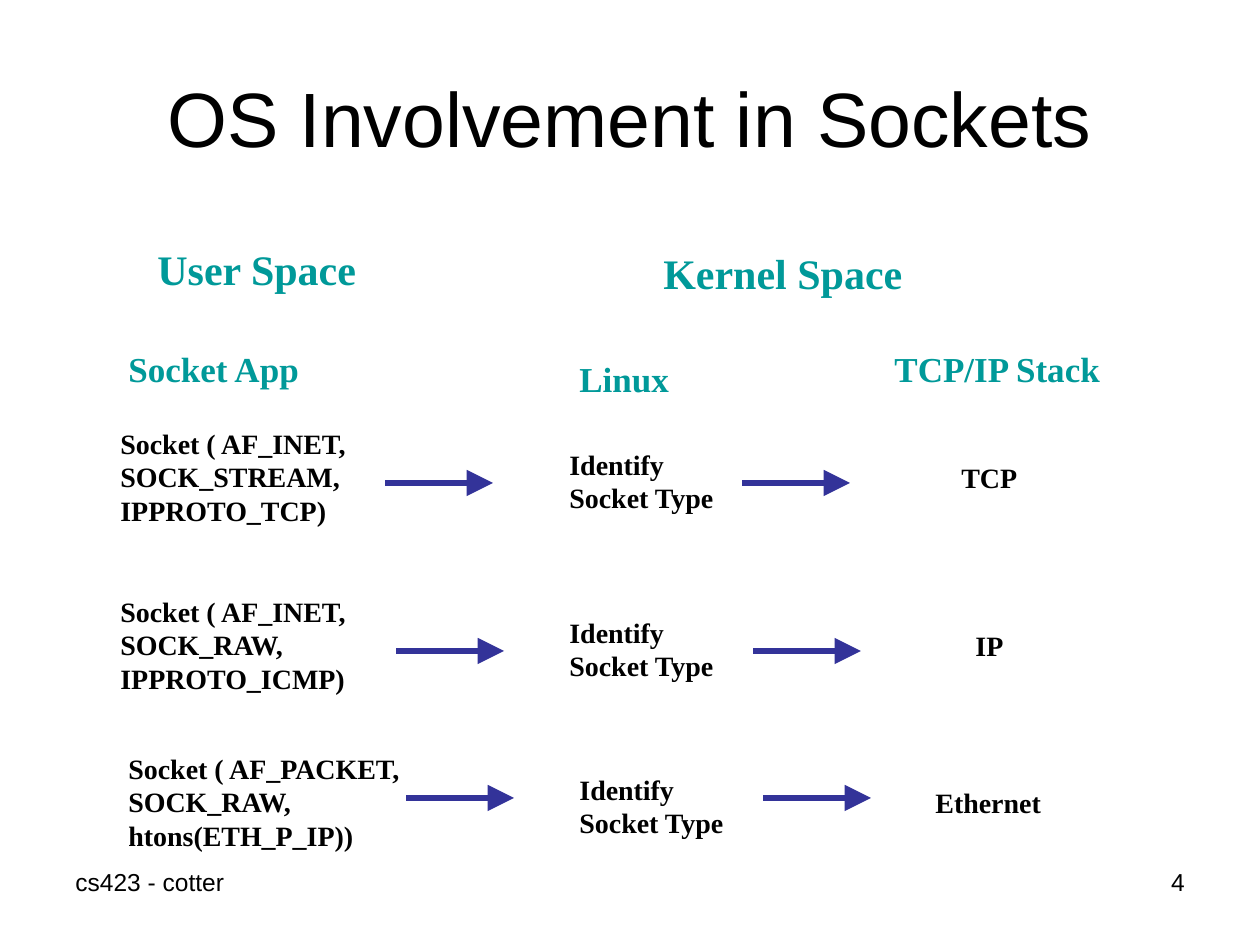
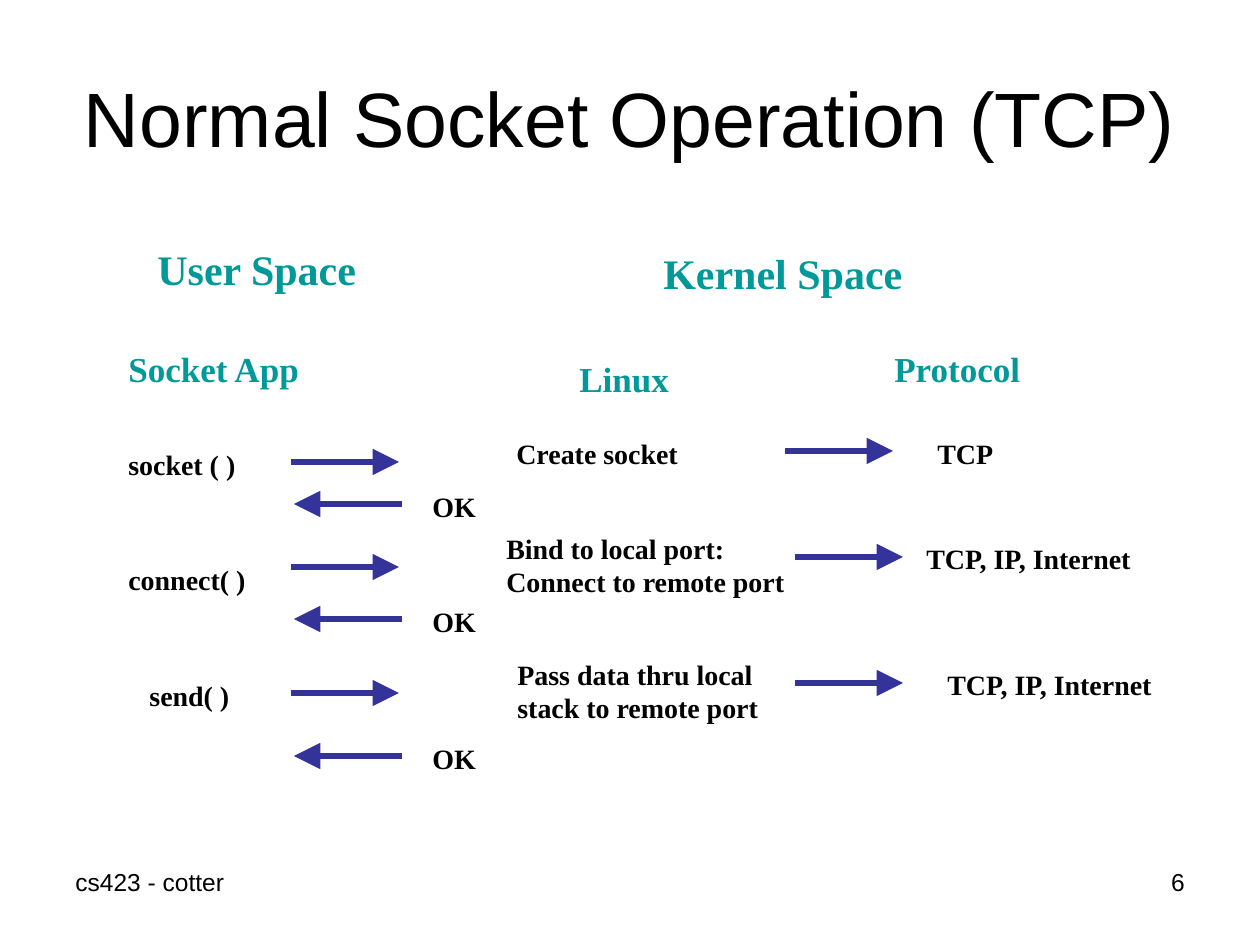
import pptx
import pptx.util
import pptx.dml.color
import pptx.enum.shapes
import pptx.enum.text
import pptx.oxml
import pptx.oxml.ns

SCALE = 914400 / 126  # EMU in one px
COLOR = {"text": "000000", "head": "009999", "arrow": "333399"}
SANS, SERIF = "Arial", "Times New Roman"
ALIGN = pptx.enum.text.PP_ALIGN
ANCHOR = pptx.enum.text.MSO_ANCHOR


def px(n):
    return pptx.util.Emu(round(n * SCALE))


def write(slide, text, x, y, wide, high=None, size=16, font=SERIF,
          color="text", align=ALIGN.LEFT, wrap=False):
    """Add a text box; serif text is bold, and the height follows the lines."""
    lines = text.split("\n")
    high = high or round(len(lines) * size * 2.1 + 13)
    box = slide.shapes.add_textbox(px(x), px(y), px(wide), px(high))
    frame = box.text_frame
    frame.word_wrap = wrap
    frame.text = text
    for par in frame.paragraphs:
        par.alignment = align
        par.font.size = pptx.util.Pt(size)
        par.font.name = font
        par.font.bold = font == SERIF
        par.font.color.rgb = pptx.dml.color.RGBColor.from_string(COLOR[color])
    return frame


prs = pptx.Presentation()
prs.slide_width, prs.slide_height = px(1260), px(945)

# Titles, headings and footers
pages = [("OS Involvement in Sockets", "TCP/IP Stack", 232, "4"),
         ("Normal Socket Operation (TCP)", "Protocol", 151, "6")]
slides = []
for title, stack, wide, num in pages:
    slide = prs.slides.add_slide(prs.slide_layouts[6])
    slides.append(slide)
    write(slide, "cs423 - cotter", 63, 861, 294, 66, 14, SANS, wrap=True)
    write(slide, num, 903, 861, 294, 66, 14, SANS, align=ALIGN.RIGHT, wrap=True)
    frame = write(slide, title, 63, 38, 1134, 158, 44, SANS,
                  align=ALIGN.CENTER, wrap=True)
    frame.vertical_anchor = ANCHOR.MIDDLE
    for text, x, y, span, size in [
            ("User Space", 145, 237, 224, 24),
            ("Kernel Space", 651, 241, 265, 24),
            ("Socket App", 116, 341, 198, 20),
            (stack, 882, 341, wide, 20),
            ("Linux", 567, 351, 115, 20)]:
        write(slide, text, x, y, span, size=size, color="head")
calls, flow = slides
arrows = []  # slide, start x, end x, y

# Socket calls: call, its place and width, kernel x, arrow x and y, protocol
MID = 990  # centre of the protocol column
for call, x, y, wide, kern, start, level, name, span in [
        ("Socket ( AF_INET,\nSOCK_STREAM,\nIPPROTO_TCP)",
         108, 420, 261, 557, 388, 483, "TCP", 82),
        ("Socket ( AF_INET,\nSOCK_RAW,\nIPPROTO_ICMP)",
         108, 588, 261, 557, 399, 651, "IP", 54),
        ("Socket ( AF_PACKET,\nSOCK_RAW,\nhtons(ETH_P_IP))",
         116, 745, 309, 567, 409, 798, "Ethernet", 134)]:
    write(calls, call, x, y, wide)
    write(calls, "Identify\nSocket Type", kern, y + 21, 172)
    write(calls, name, MID - span // 2, y + 34, span)
    for left in (start, start + 357):
        arrows.append((calls, left, left + 105, level))

# Steps of a TCP session
for text, x, y, wide, wrap in [
        ("socket ( )", 116, 441, 168, True),
        ("connect( )", 116, 556, 168, True),
        ("send( )", 137, 672, 168, True),
        ("Create socket", 504, 430, 192, False),
        ("Bind to local port:\nConnect to remote port", 494, 525, 325, True),
        ("Pass data thru local\nstack to remote port", 505, 651, 268, False),
        ("TCP", 925, 430, 82, False),
        ("TCP, IP, Internet", 914, 535, 236, False),
        ("TCP, IP, Internet", 935, 661, 236, False)]:
    write(flow, text, x, y, wide, wrap=wrap)
for ask, reply, stack, left in [(462, 504, 451, 788), (567, 619, 557, 798),
                                (693, 756, 683, 798)]:
    write(flow, "OK", 420, reply - 21, 95, wrap=True)
    arrows += [(flow, 294, 399, ask), (flow, 399, 294, reply),
               (flow, left, left + 105, stack)]

for slide, start, end, y in arrows:
    arrow = slide.shapes.add_connector(
        pptx.enum.shapes.MSO_CONNECTOR.STRAIGHT, px(start), px(y), px(end), px(y))
    arrow.line.width = pptx.util.Pt(3)
    arrow.line.color.rgb = pptx.dml.color.RGBColor.from_string(COLOR["arrow"])
    stroke = arrow.line._get_or_add_ln()
    stroke.set("cap", "sq")
    stroke.append(pptx.oxml.parse_xml(
        f'<a:tailEnd {pptx.oxml.ns.nsdecls("a")} type="triangle" w="lg" len="lg"/>'))
    arrow._element.spPr.append(pptx.oxml.parse_xml(
        f'<a:effectLst {pptx.oxml.ns.nsdecls("a")}/>'))

prs.save("out.pptx")
